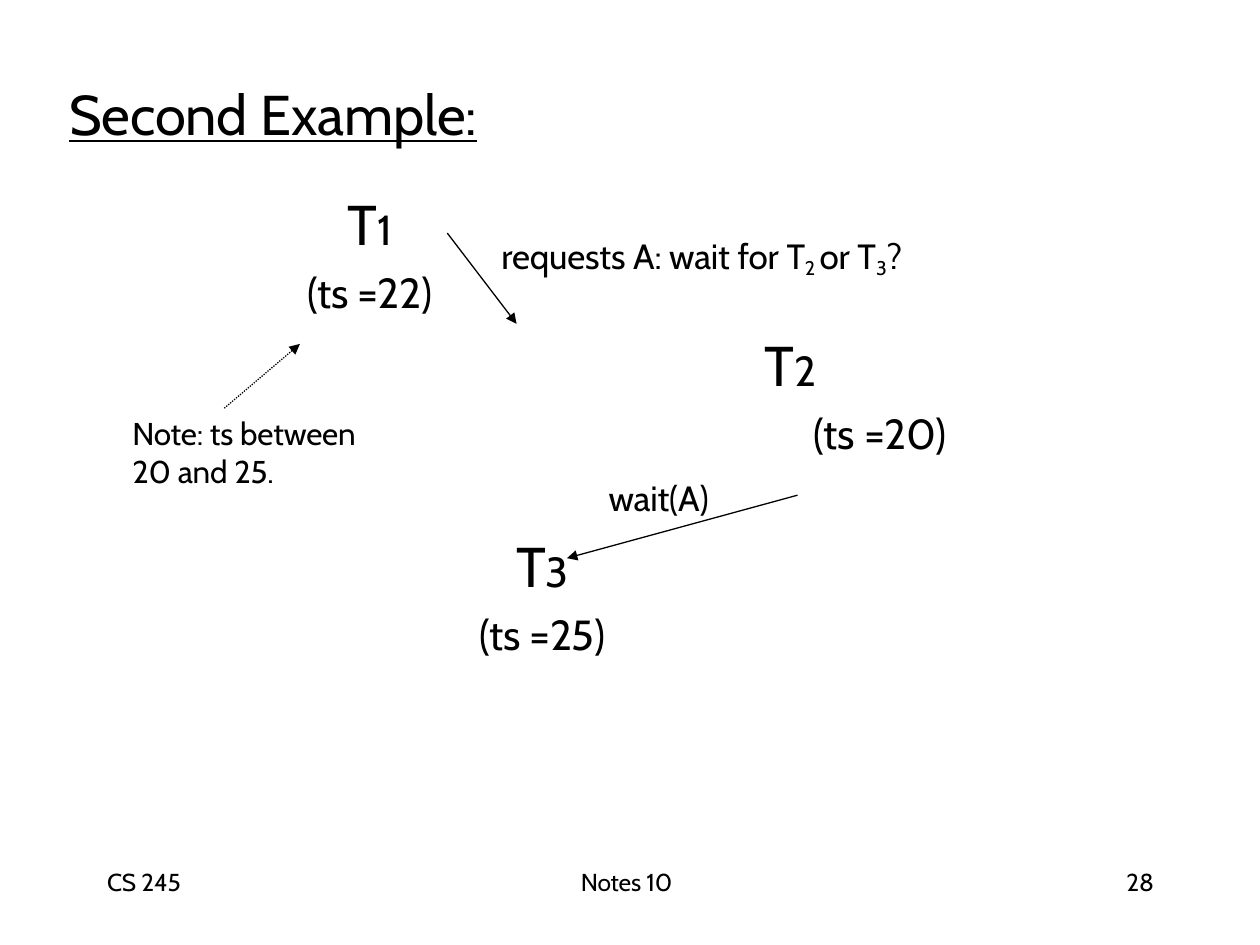
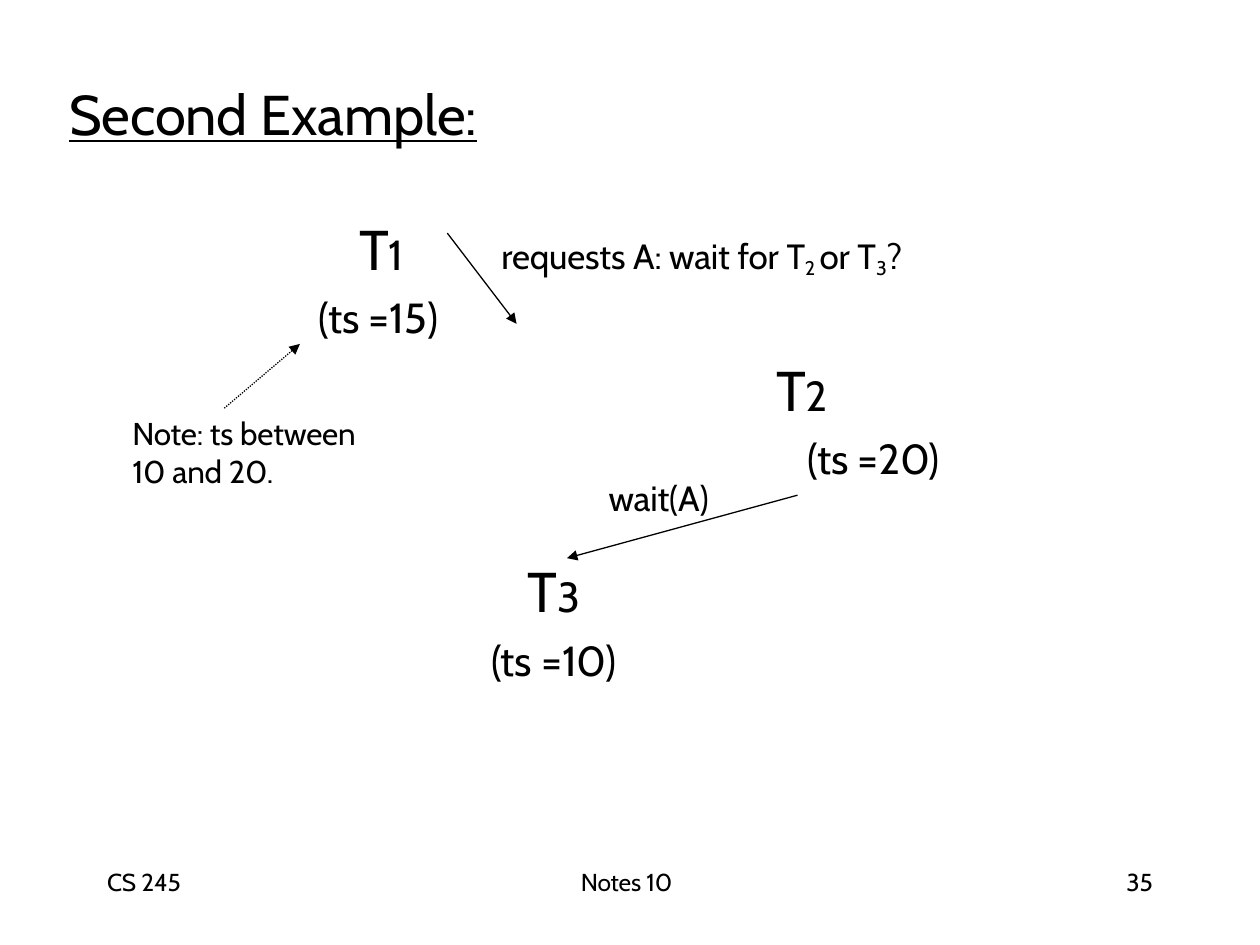
from dataclasses import dataclass

from lxml import etree
from pptx import Presentation
from pptx.dml.color import RGBColor
from pptx.enum.dml import MSO_LINE
from pptx.enum.shapes import MSO_CONNECTOR
from pptx.enum.text import MSO_ANCHOR, MSO_AUTO_SIZE, PP_ALIGN
from pptx.oxml.ns import qn
from pptx.util import Inches, Pt

LEFT, CENTER = PP_ALIGN.LEFT, PP_ALIGN.CENTER
TOP = MSO_ANCHOR.TOP
GROW = MSO_AUTO_SIZE.SHAPE_TO_FIT_TEXT
STRAIGHT = MSO_CONNECTOR.STRAIGHT
DOTTED = MSO_LINE.ROUND_DOT

COLORS = {"ink": "000000", "paper": "FFFFFF"}
FONT = "Cabin"
TITLE_ONLY_LAYOUT = 5
TITLE_SIZE, STAMP_SIZE, LABEL_SIZE, NOTE_SIZE, FOOTER_SIZE = 32, 24, 20, 18, 14


@dataclass
class Example:
    number: str
    timestamps: tuple
    note_range: str
    shift: tuple
    second_indent: float


EXAMPLES = (
    Example("28", (22, 20, 25), "20 and 25.", (0, 0), 0.4),
    Example("35", (15, 20, 10), "10 and 20.", (0.09, 0.2), 0.26),
)


def color(name):
    return RGBColor.from_string(COLORS[name])


def add_run(paragraph, text, size, spacing=-0.1, baseline=0, underline=None):
    run = paragraph.add_run()
    run.text = text
    run.font.name = FONT
    run.font.size = Pt(size)
    run.font.underline = underline
    run.font.color.rgb = color("ink")
    properties = run._r.get_or_add_rPr()
    properties.set("spc", str(round(spacing * 100)))
    if baseline:
        properties.set("baseline", str(baseline * 1000))


def format_frame(shape, top_inset=0.01):
    frame = shape.text_frame
    frame.word_wrap = True
    frame.auto_size = GROW
    frame.vertical_anchor = TOP
    frame.margin_left = frame.margin_right = frame.margin_bottom = 0
    frame.margin_top = Inches(top_inset)
    return frame


def format_paragraph(paragraph, indent=0.01, alignment=LEFT):
    properties = paragraph._p.get_or_add_pPr()
    properties.set("marL", str(Inches(indent)))
    properties.set("indent", "0")
    paragraph.alignment = alignment
    return paragraph


def add_frame(slide, box, top_inset=0.01):
    shape = slide.shapes.add_textbox(*map(Inches, box))
    return format_frame(shape, top_inset)


def add_label(slide, box, text, size, indent=0.01):
    paragraph = format_paragraph(add_frame(slide, box).paragraphs[0], indent)
    add_run(paragraph, text, size)


def add_arrow(slide, start, end, dotted=False):
    arrow = slide.shapes.add_connector(STRAIGHT, *map(Inches, start + end))
    arrow.line.color.rgb = color("ink")
    arrow.line.width = Pt(0.75)
    if dotted:
        arrow.line.dash_style = DOTTED
    etree.SubElement(arrow.line._get_or_add_ln(), qn("a:tailEnd"), type="triangle")
    etree.SubElement(arrow._element.spPr, qn("a:effectLst"))


def add_title(slide, box):
    title = slide.shapes.title
    title.left, title.top, title.width, title.height = map(Inches, box)
    paragraph = format_paragraph(format_frame(title).paragraphs[0])
    for text, spacing in (("Second", -0.1), (" ", -0.5), ("Example:", -0.1)):
        add_run(paragraph, text, TITLE_SIZE, spacing, underline=True)


def add_transaction(slide, box, name, timestamp, indents, alignment=LEFT):
    frame = add_frame(slide, box, 0.12)
    heading = format_paragraph(frame.paragraphs[0], indents[0], alignment)
    add_run(heading, "T", TITLE_SIZE)
    add_run(heading, name, STAMP_SIZE)
    stamp = format_paragraph(frame.add_paragraph(), indents[1], alignment)
    stamp.space_before = Pt(5.7)
    add_run(stamp, f"(ts ={timestamp})", STAMP_SIZE)


def add_transactions(slide, example):
    across, down = example.shift
    indent = example.second_indent
    first, second, third = example.timestamps
    height = 1.15
    add_transaction(slide, (2.43 + across, 1.38 + down, 1.25, height),
                    "1", first, (0.33, 0.01))
    add_transaction(slide, (6.06 + across, 2.5 + down, 1.24 + indent, height),
                    "2", second, (0.01, indent))
    add_transaction(slide, (3.68 + across, 4.1 + down, 1.25, height),
                    "3", third, (0, 0), CENTER)


def add_request(slide, box):
    left, top, width, height = box
    add_arrow(slide, (left - 0.39, top), (left + 0.16, top + 0.72))
    paragraph = format_paragraph(add_frame(slide, box).paragraphs[0], 0.04)
    add_run(paragraph, "requests A: wait for T", LABEL_SIZE)
    add_run(paragraph, "2 ", 19.5, baseline=-17)
    add_run(paragraph, "or T", LABEL_SIZE)
    add_run(paragraph, "3", 19.5, baseline=-17)
    add_run(paragraph, "?", LABEL_SIZE)


def add_wait(slide, box):
    left, top, width, height = box
    add_arrow(slide, (left + 1.51, top + 0.16), (left - 0.32, top + 0.66))
    add_label(slide, box, "wait(A)", LABEL_SIZE)


def add_note(slide, box, note_range):
    left, top, width, height = box
    add_arrow(slide, (left + 0.74, top - 0.04), (left + 1.34, top - 0.55), dotted=True)
    add_label(slide, box, f"Note: ts between {note_range}", NOTE_SIZE)


def add_footer(slide, top, number):
    parts = (
        (0.84, 0.63, "CS 245", 0.01),
        (4.6, 0.79, "Notes 10", 0.01),
        (8.9, 0.3, number, 0.04),
    )
    for left, width, text, indent in parts:
        add_label(slide, (left, top, width, 0.26), text, FOOTER_SIZE, indent)


def add_example_slide(presentation, example):
    slide = presentation.slides.add_slide(presentation.slide_layouts[TITLE_ONLY_LAYOUT])
    add_title(slide, (0.54, 0.62, 3.4, 0.56))
    add_transactions(slide, example)
    add_wait(slide, (4.82, 3.77, 0.91, 0.36))
    add_request(slide, (3.94, 1.85, 3.66, 0.36))
    add_note(slide, (1.04, 3.28, 1.93, 0.63), example.note_range)
    add_footer(slide, 6.87, example.number)


def main():
    presentation = Presentation()
    presentation.slide_width = Inches(10)
    presentation.slide_height = Inches(7.5)
    background = presentation.slide_master.background.fill
    background.solid()
    background.fore_color.rgb = color("paper")
    for example in EXAMPLES:
        add_example_slide(presentation, example)
    presentation.save("out.pptx")


if __name__ == "__main__":
    main()
